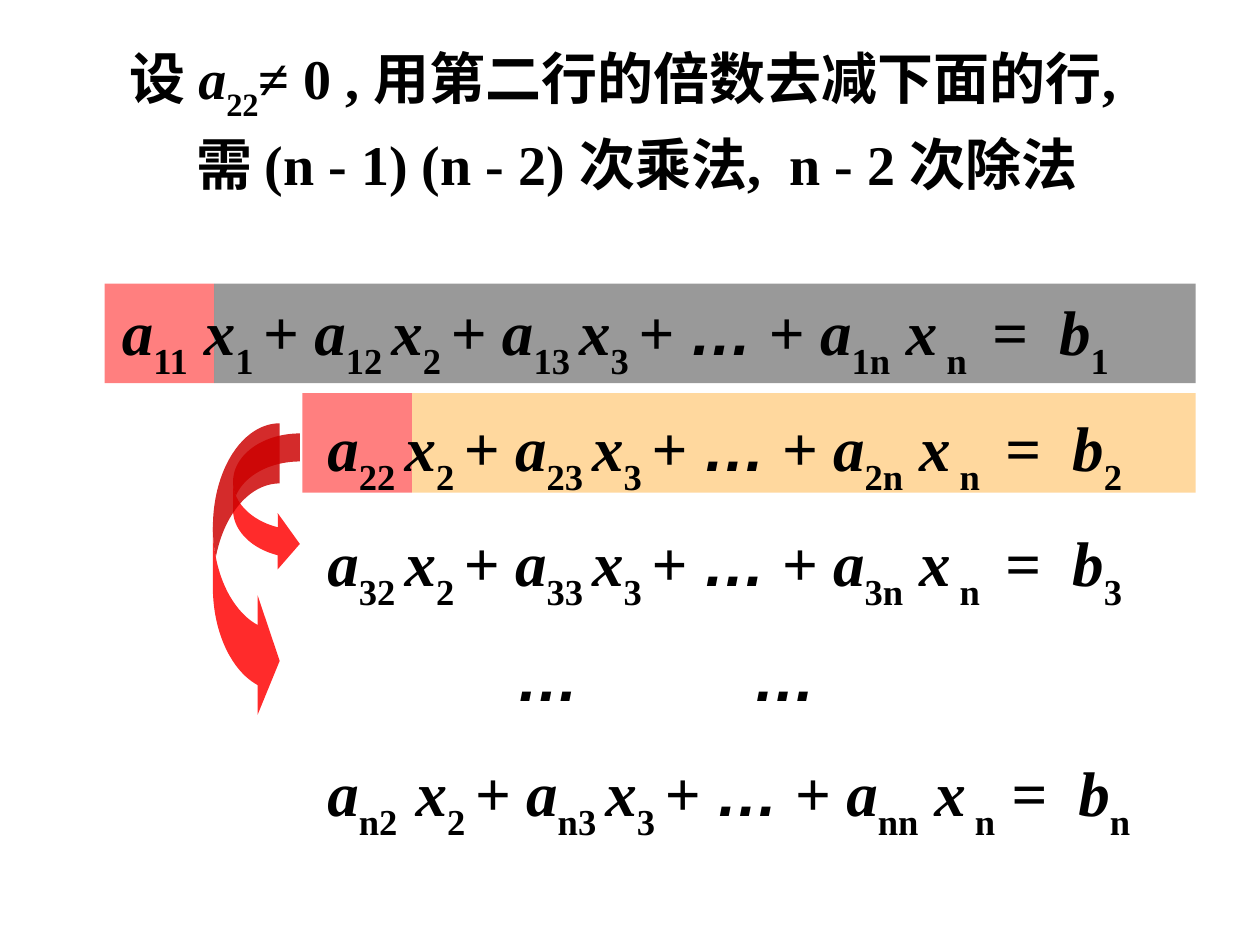
from pptx import Presentation
from pptx.dml.color import RGBColor
from pptx.enum.shapes import MSO_SHAPE
from pptx.enum.text import MSO_ANCHOR, PP_ALIGN
from pptx.oxml.ns import qn
from pptx.util import Inches, Pt
from lxml import etree

RECT = MSO_SHAPE.RECTANGLE
CURVE = MSO_SHAPE.CURVED_RIGHT_ARROW
MIDDLE = MSO_ANCHOR.MIDDLE
CENTER, LEFT = PP_ALIGN.CENTER, PP_ALIGN.LEFT
SERIF, SANS = "Times New Roman", "Arial"
RED, GRAY, GOLD = "FF0000", "808080", "FF9900"
LEAD, HIGH, RIGHT = 0.87, 0.79, 9.49
TOP, LINE, GAP = 2.17, 58.6, 7.2
DOTS = "…| |"


def color(code):
    """Turn a hex string into a colour."""
    return RGBColor.from_string(code)


def add_shape(slide, kind, box, code, alpha, adjust=()):
    """Add a borderless shape with a see-through fill."""
    shape = slide.shapes.add_shape(kind, *map(Inches, box))
    shape.shadow.inherit = False
    shape.line.fill.background()
    shape.fill.solid()
    shape.fill.fore_color.rgb = color(code)
    tint = shape.fill._xPr.find(".//" + qn("a:srgbClr"))
    etree.SubElement(tint, qn("a:alpha")).set("val", str(alpha * 1000))
    for spot, value in enumerate(adjust):
        shape.adjustments[spot] = value


def add_band(slide, left, top, code, alpha):
    """Add a red pivot cell and the band that fills the rest of its row."""
    start = left + LEAD
    add_shape(slide, RECT, (left, top, LEAD, HIGH), RED, 50)
    add_shape(slide, RECT, (start, top, RIGHT - start, HIGH), code, alpha)


def add_box(slide, box):
    """Add a wrapping text box and return its frame."""
    frame = slide.shapes.add_textbox(*map(Inches, box)).text_frame
    frame.word_wrap = True
    return frame


def set_font(para, size):
    """Set the shared font of a paragraph."""
    font = para.font
    font.name, font.size, font.bold = SERIF, Pt(size), True
    font.color.rgb = color("000000")


def add_run(para, text, italic=False, sub=False, name=SERIF):
    """Add a run, set low if it is a subscript."""
    run = para.add_run()
    run.text = text
    run.font.name, run.font.italic = name, italic
    if sub:
        run.font._element.set("baseline", "-30000")


def add_math(para, text):
    """Write italic text in which bars enclose upright subscripts."""
    for spot, part in enumerate(text.split("|")):
        if spot % 2:
            add_run(para, part, sub=True)
            continue
        head, dots, tail = part.partition("…")
        for piece, name in ((head, SERIF), (dots, SANS), (tail, SERIF)):
            if piece:
                add_run(para, piece, True, name=name)


def add_line(frame, text, left):
    """Add one line of the system at an indent."""
    first = not frame.paragraphs[0].runs
    para = frame.paragraphs[0] if first else frame.add_paragraph()
    para.alignment = LEFT
    para.line_spacing, para.space_before = Pt(LINE), Pt(0 if first else GAP)
    props = para._p.get_or_add_pPr()
    props.set("marL", str(Inches(left)))
    props.set("indent", "0")
    set_font(para, 36)
    add_math(para, text)


def sum_up(row, first, last=" n "):
    """Give the markup of one equation from its row mark and end terms."""
    return f"{first}+ a|{row}3 |x|3 |+ … + a|{row}n| x|{last}| =  b|{row}"


def add_title(slide):
    """Add the two centred lines of the heading."""
    frame = add_box(slide, (0.5, 0.3, 9, 1.25))
    frame.vertical_anchor = MIDDLE
    para = frame.paragraphs[0]
    para.alignment, para.line_spacing = CENTER, 1.1
    set_font(para, 32)
    add_run(para, "设 ")
    add_run(para, "a", True)
    add_run(para, "22", sub=True)
    add_run(para, "≠ 0 , 用第二行的倍数去减下面的行, ")
    para.add_line_break()
    add_run(para, " 需 (n - 1) (n - 2) 次乘法,  n - 2 次除法")


def add_system(slide):
    """Add the system of equations, with the right dots in their own box."""
    frame = add_box(slide, (0.5, TOP, 9, 4.65))
    add_line(frame, sum_up("1", "a|11| x|1 |+ a|12 |x|2 |"), 0.37)
    for row in "23":
        add_line(frame, sum_up(row, f"a|{row}2 |x|2 |"), 2)
    add_line(frame, DOTS, 3.5)
    add_line(frame, sum_up("n", "a|n2  |x|2 |", " n"), 2)
    drop = 3 * (LINE + GAP) / 72
    side = add_box(slide, (5.88, TOP + drop, 1, 0.9))
    add_line(side, DOTS, 0)


def main():
    """Build the slide and save it."""
    deck = Presentation()
    deck.slide_width, deck.slide_height = Inches(10), Inches(7.5)
    slide = deck.slides.add_slide(deck.slide_layouts[6])
    add_title(slide)
    add_band(slide, 0.83, 2.25, GRAY, 80)
    add_band(slide, 2.4, 3.12, GOLD, 38)
    add_shape(slide, CURVE, (1.85, 3.44, 0.53, 1.1), RED, 83, (0.42, 0.84, 0.33))
    add_system(slide)
    add_shape(slide, CURVE, (1.69, 3.36, 0.53, 2.36), RED, 83, (0.9, 1.79, 0.33))
    deck.save("out.pptx")


if __name__ == "__main__":
    main()
